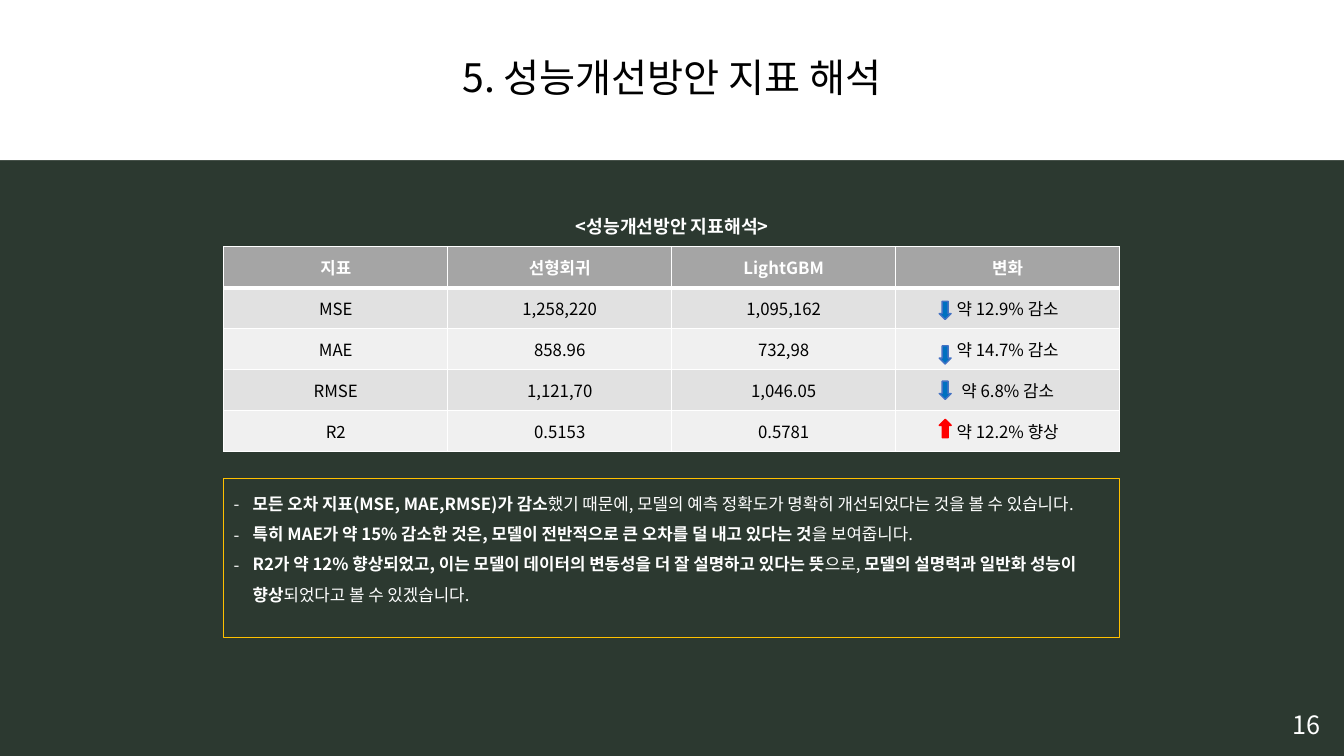
import pptx
import pptx.util
import pptx.dml.color
import pptx.enum.shapes
import pptx.enum.text
import pptx.oxml.ns
from lxml import etree

Cm = pptx.util.Cm
Pt = pptx.util.Pt
RGBColor = pptx.dml.color.RGBColor
PRESET = pptx.enum.shapes.MSO_SHAPE
ANCHOR = pptx.enum.text.MSO_ANCHOR
ALIGN = pptx.enum.text.PP_ALIGN
qn = pptx.oxml.ns.qn

FONT = "Noto Sans CJK KR"
GREEN = RGBColor(0x2C, 0x39, 0x30)
WHITE = RGBColor(0xFF, 0xFF, 0xFF)
BLACK = RGBColor(0, 0, 0)
HEADER_GREY = RGBColor(0xA5, 0xA5, 0xA5)
BAND_GREYS = [RGBColor(0xE1, 0xE1, 0xE1), RGBColor(0xF0, 0xF0, 0xF0)]
GOLD = RGBColor(0xFF, 0xC0, 0x00)
BLUE = RGBColor(0x00, 0x70, 0xC0)
BLUE_EDGE = RGBColor(0x44, 0x72, 0xC4)
RED = RGBColor(0xFF, 0, 0)

METRICS = [
    ["지표", "선형회귀", "LightGBM", "변화"],
    ["MSE", "1,258,220", "1,095,162", "약 12.9% 감소"],
    ["MAE", "858.96", "732,98", "약 14.7% 감소"],
    ["RMSE", "1,121,70", "1,046.05", "약 6.8% 감소"],
    ["R2", "0.5153", "0.5781", "약 12.2% 향상"],
]
# Distance of each arrow below the top of its row, in cm
ARROW_DROPS = [0.34, 0.43, 0.29, 0.22]

# Each finding alternates bold and regular text
FINDINGS = [
    ["모든 오차 지표(MSE, MAE,RMSE)가 감소",
     "했기 때문에, 모델의 예측 정확도가 명확히 개선되었다는 것을 볼 수 있습니다."],
    ["특히 MAE가 약 15% 감소한 것은, 모델이 전반적으로 큰 오차를 덜 내고 있다는 것",
     "을 보여줍니다."],
    ["R2가 약 12% 향상되었고, 이는 모델이 데이터의 변동성을 더 잘 설명하고 있다는 뜻",
     "으로, ", "모델의 설명력과 일반화 성능이 향상", "되었다고 볼 수 있겠습니다."],
]


def write(paragraph, text, size=12, color=WHITE, bold=False,
          align=ALIGN.CENTER, spacing=None):
    paragraph.alignment = align
    if spacing:
        paragraph.line_spacing = spacing
    run = paragraph.add_run()
    run.text = text
    font = run.font
    font.name, font.size, font.bold = FONT, Pt(size), bold
    font.color.rgb = color
    east_asian = etree.SubElement(run._r.get_or_add_rPr(), qn("a:ea"))
    east_asian.set("typeface", FONT)


def add_preset(slide, preset, box, fill=None, edge=None, width=1):
    shape = slide.shapes.add_shape(preset, *map(Cm, box))
    shape.shadow.inherit = False
    if fill is None:
        shape.fill.background()
    else:
        shape.fill.solid()
        shape.fill.fore_color.rgb = fill
    if edge is None:
        shape.line.fill.background()
    else:
        shape.line.color.rgb = edge
        shape.line.width = Pt(width)
    return shape


def add_label(slide, box, text, **style):
    frame = slide.shapes.add_textbox(*map(Cm, box)).text_frame
    frame.word_wrap = True
    write(frame.paragraphs[0], text, **style)


def add_title_band(slide, box):
    band = add_preset(slide, PRESET.RECTANGLE, box, fill=WHITE)
    band.text_frame.vertical_anchor = ANCHOR.MIDDLE
    write(band.text_frame.paragraphs[0], "5. 성능개선방안 지표 해석",
          size=28, color=BLACK, spacing=0.9)


def add_cell_border(cell, side, width):
    border = etree.SubElement(cell._tc.get_or_add_tcPr(), qn("a:ln" + side))
    border.set("w", str(Pt(width)))
    solid = etree.SubElement(border, qn("a:solidFill"))
    etree.SubElement(solid, qn("a:srgbClr")).set("val", str(WHITE))


def add_metrics(slide, box):
    left, top, width, height = box
    row_height = height / len(METRICS)

    # Caption above the table
    add_label(slide, (left + 3.63, top - 1.19, width - 7.24, 0.99),
              "<성능개선방안 지표해석>", size=13, bold=True, spacing=1.5)

    # Table
    table = slide.shapes.add_table(len(METRICS), len(METRICS[0]),
                                   *map(Cm, box)).table
    for r, values in enumerate(METRICS):
        header = r == 0
        table.rows[r].height = Cm(row_height)
        for c, value in enumerate(values):
            cell = table.cell(r, c)
            cell.vertical_anchor = ANCHOR.MIDDLE
            for side in "LRTB":
                under_header = (r, side) in [(0, "B"), (1, "T")]
                add_cell_border(cell, side, 3 if under_header else 1)
            cell.fill.solid()
            cell.fill.fore_color.rgb = HEADER_GREY if header else BAND_GREYS[(r - 1) % 2]
            write(cell.text_frame.paragraphs[0], value,
                  color=WHITE if header else BLACK, bold=header)

    # Arrows of change
    for r, drop in enumerate(ARROW_DROPS, start=1):
        improved = r == len(ARROW_DROPS)
        arrow = add_preset(
            slide, PRESET.DOWN_ARROW,
            (left + 18.03, top + r * row_height + drop, 0.3, 0.46),
            fill=RED if improved else BLUE, edge=RED if improved else BLUE_EDGE)
        arrow.rotation = 180 if improved else 0


def add_findings(slide, box):
    panel = add_preset(slide, PRESET.RECTANGLE, box, edge=GOLD, width=0.75)
    frame = panel.text_frame
    frame.word_wrap = True
    frame.vertical_anchor = ANCHOR.TOP
    for i, parts in enumerate(FINDINGS):
        paragraph = frame.add_paragraph() if i else frame.paragraphs[0]
        for j, part in enumerate(parts):
            write(paragraph, part, bold=j % 2 == 0, align=ALIGN.LEFT, spacing=1.5)
        properties = paragraph._p.get_or_add_pPr()
        properties.set("marL", str(Cm(0.48)))
        properties.set("indent", str(-Cm(0.48)))
        etree.SubElement(properties, qn("a:buFont")).set("typeface", FONT)
        etree.SubElement(properties, qn("a:buChar")).set("char", "-")


def main():
    deck = pptx.Presentation()
    deck.slide_width, deck.slide_height = Cm(33.87), Cm(19.05)
    slide = deck.slides.add_slide(deck.slide_layouts[6])
    slide.background.fill.solid()
    slide.background.fill.fore_color.rgb = GREEN

    add_title_band(slide, (0, 0, 33.87, 4.04))
    add_label(slide, (31.98, 17.75, 1.88, 1.02), "16", size=18)
    add_metrics(slide, (5.64, 6.22, 22.58, 5.16))
    add_findings(slide, (5.64, 12.06, 22.58, 4.01))
    deck.save("out.pptx")


if __name__ == "__main__":
    main()
